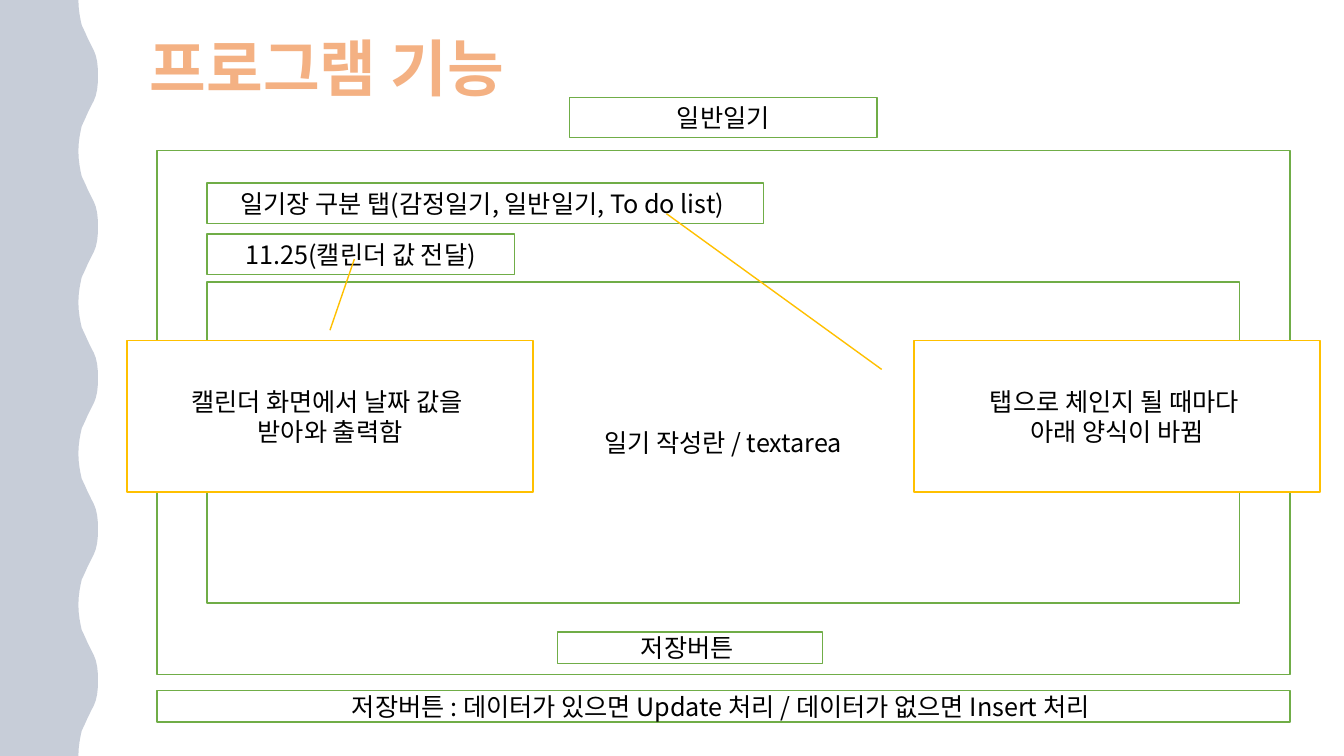
"""Build the diary feature slide with its wavy side band and annotated wireframe."""
from lxml import etree
from pptx import Presentation
from pptx.dml.color import RGBColor
from pptx.enum import shapes, text
from pptx.oxml import ns
from pptx.util import Pt


def color(value):
    return RGBColor.from_string(value)


class SlideBuilder:
    font = "Noto Sans CJK KR"
    white, ink, navy = "FFFFFF", "000000", "203864"
    green, amber, peach = "70AD47", "FFC000", "F4B183"

    def __init__(self, slide):
        self.slide = slide

    def set_text(self, frame, lines, size, ink, alignment, bold=False):
        frame.word_wrap = True
        for index, line in enumerate(lines):
            paragraph = frame.paragraphs[0] if index == 0 else frame.add_paragraph()
            paragraph.text = line
            paragraph.alignment = alignment
            font = paragraph.font
            font.size, font.bold, font.name = Pt(size), bold, self.font
            font.color.rgb = color(ink)
            properties = paragraph._p.pPr.find(ns.qn("a:defRPr"))
            etree.SubElement(properties, ns.qn("a:ea"), typeface=self.font)

    def title(self, line, left, top, width, height):
        frame = self.slide.shapes.add_textbox(Pt(left), Pt(top), Pt(width), Pt(height)).text_frame
        self.set_text(frame, [line], 44, self.peach, text.PP_ALIGN.LEFT, bold=True)
        frame.paragraphs[0].line_spacing = 0.9

    def box(self, lines, left, top, width, height, line=green,
            kind=shapes.MSO_SHAPE.RECTANGLE):
        shape = self.slide.shapes.add_shape(kind, Pt(left), Pt(top), Pt(width), Pt(height))
        shape.shadow.inherit = False
        shape.fill.solid()
        shape.fill.fore_color.rgb = color(self.white)
        shape.line.color.rgb = color(line)
        shape.line.width = Pt(1)
        shape.text_frame.vertical_anchor = text.MSO_ANCHOR.MIDDLE
        self.set_text(shape.text_frame, lines, 18, self.ink, text.PP_ALIGN.CENTER)
        return shape

    def callout(self, lines, left, pointer):
        shape = self.box(lines, left, 243.4, 290, 108, self.amber,
                         shapes.MSO_SHAPE.LINE_CALLOUT_1)
        for index, value in enumerate(pointer):
            shape.adjustments[index] = value

    def wave(self, fill, opacity=100):
        rise = [(56, 0), (56.2, 5), (56.8, 10), (57.6, 14.4), (58.4, 18), (59.8, 21),
                (61.2, 24), (62.6, 27.2), (64.1, 30.2), (65.5, 33.1), (67, 36),
                (68.4, 39.6), (69.4, 44), (69.9, 49), (70, 54)]
        period = 108
        crest = rise + [(x, period - y) for x, y in reversed(rise[:-1])]
        edge = [(x, y + period * turn) for turn in range(5) for x, y in crest]
        outline = [(Pt(x), Pt(y)) for x, y in edge + [(0, 540)]]
        builder = self.slide.shapes.build_freeform(0, 0)
        builder.add_line_segments(outline, close=True)
        shape = builder.convert_to_shape()
        shape.shadow.inherit = False
        shape.line.fill.background()
        shape.fill.solid()
        shape.fill.fore_color.rgb = color(fill)
        if opacity < 100:
            tint = shape._element.spPr.find(".//" + ns.qn("a:srgbClr"))
            etree.SubElement(tint, ns.qn("a:alpha"), val=str(opacity * 1000))


def main():
    presentation = Presentation()
    presentation.slide_width, presentation.slide_height = Pt(960), Pt(540)
    builder = SlideBuilder(presentation.slides.add_slide(presentation.slide_layouts[6]))

    builder.title("프로그램 기능", 100, 23.8, 799, 117)
    builder.wave(builder.white)
    builder.wave(builder.navy, opacity=25)

    builder.box([], 112.2, 107.4, 809.3, 374.2)
    builder.box(["일기 작성란 / textarea"], 147.8, 201.4, 737.5, 229.4)
    builder.box(["11.25(캘린더 값 전달)"], 147.8, 167.3, 219.6, 28.8)
    builder.box(["일기장 구분 탭(감정일기, 일반일기, To do list) "], 147.8, 130.8, 397.4, 28.8)
    builder.box(["일반일기"], 406.8, 69.6, 219.6, 28.8)
    builder.box(["저장버튼 "], 398.2, 451.4, 189.4, 22.4)
    builder.box(["저장버튼 : 데이터가 있으면 Update 처리 / 데이터가 없으면 Insert 처리 "],
                112.2, 493.4, 809.3, 22.4)

    builder.callout(["탭으로 체인지 될 때마다 ", "아래 양식이 바뀜"], 653,
                    (0.19, -0.08, -0.84, -0.61))
    builder.callout(["캘린더 화면에서 날짜 값을 ", "받아와 출력함"], 90.7,
                    (-0.07, 0.5, -0.54, 0.56))

    presentation.save("out.pptx")


if __name__ == "__main__":
    main()
